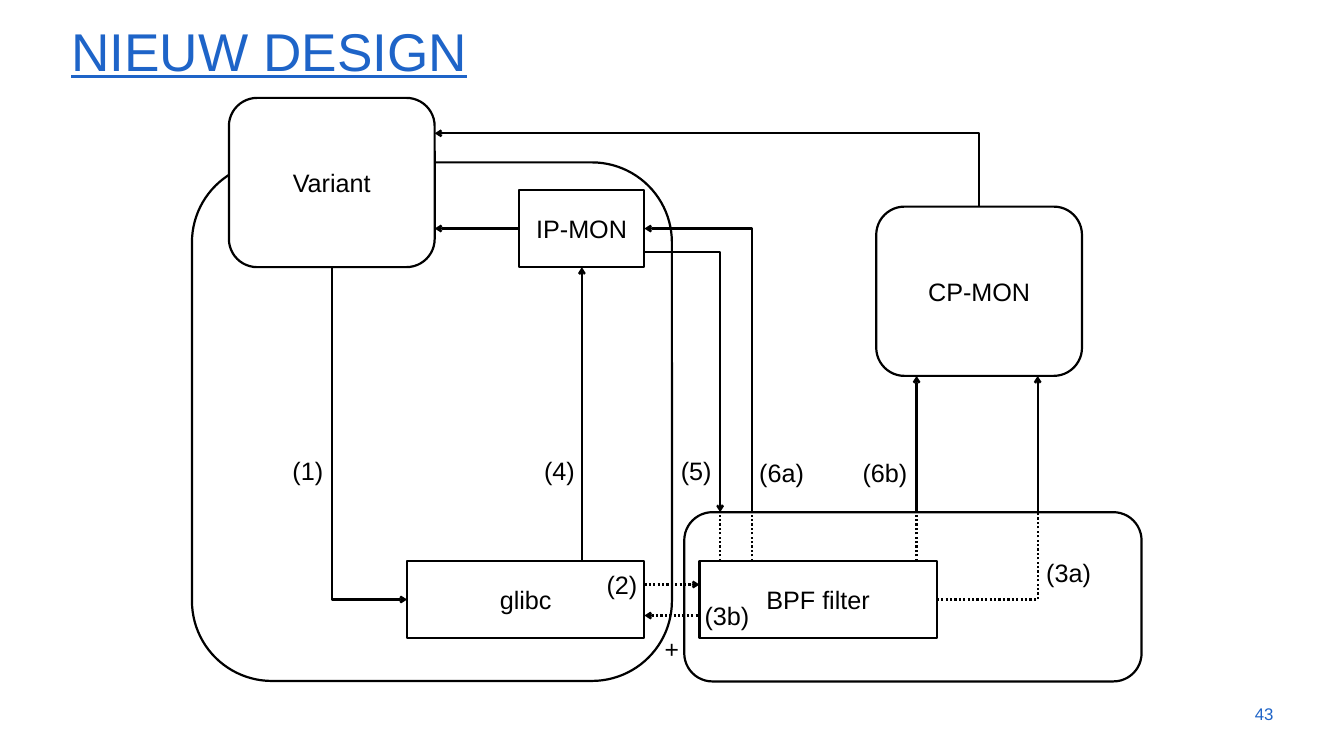
from dataclasses import dataclass

from pptx import Presentation
from pptx.dml.color import RGBColor
from pptx.enum.dml import MSO_LINE
from pptx.enum.shapes import MSO_CONNECTOR, MSO_SHAPE
from pptx.enum.text import MSO_ANCHOR, PP_ALIGN
from pptx.oxml.ns import qn
from pptx.util import Pt
from lxml.etree import SubElement


@dataclass(frozen=True)
class Theme:
    """Colours, font and sizes of the slide."""
    ink: RGBColor = RGBColor(0x00, 0x00, 0x00)
    paper: RGBColor = RGBColor(0xFF, 0xFF, 0xFF)
    accent: RGBColor = RGBColor(0x1E, 0x64, 0xC8)
    font: str = "Arial"
    title_size: float = 54
    body_size: float = 25.6
    plus_size: float = 25
    number_size: float = 17.1
    line_width: float = 2.25


@dataclass(frozen=True)
class Box:
    """A rectangle in points."""
    left: float
    top: float
    width: float
    height: float

    @property
    def right(self):
        """Return the right edge."""
        return self.left + self.width

    @property
    def bottom(self):
        """Return the bottom edge."""
        return self.top + self.height

    @property
    def middle(self):
        """Return the height of the horizontal centre line."""
        return self.top + self.height / 2

    def inside(self, left, top, width, height):
        """Return a box placed relative to this one."""
        return Box(self.left + left, self.top + top, width, height)

    def lengths(self):
        """Return the four lengths for a new shape."""
        return Pt(self.left), Pt(self.top), Pt(self.width), Pt(self.height)


THEME = Theme()


def write(shape, text, size, color=THEME.ink, align=PP_ALIGN.LEFT, anchor=MSO_ANCHOR.TOP):
    """Put one formatted run in a shape and return its paragraph and run."""
    frame = shape.text_frame
    frame.word_wrap = True
    frame.vertical_anchor = anchor
    para = frame.paragraphs[0]
    para.alignment = align
    span = para.add_run()
    span.text = text
    span.font.name = THEME.font
    span.font.size = Pt(size)
    span.font.color.rgb = color
    return para, span


def draw_block(page, box, kind, text=None, filled=True):
    """Draw an outlined block with an optional centred name."""
    shape = page.shapes.add_shape(kind, *box.lengths())
    shape.shadow.inherit = False
    if filled:
        shape.fill.solid()
        shape.fill.fore_color.rgb = THEME.paper
    else:
        shape.fill.background()
    shape.line.color.rgb = THEME.ink
    shape.line.width = Pt(THEME.line_width)
    if text:
        write(shape, text, THEME.body_size, align=PP_ALIGN.CENTER, anchor=MSO_ANCHOR.MIDDLE)


def draw_label(page, left, top, text, width=65.5):
    """Write the number of a step."""
    label = page.shapes.add_textbox(*Box(left, top, width, 38).lengths())
    write(label, text, THEME.body_size)


def draw_line(page, start, end, arrow=None, dotted=False, bent=False):
    """Connect two points, going sideways first when bent."""
    kind = MSO_CONNECTOR.ELBOW if bent else MSO_CONNECTOR.STRAIGHT
    connector = page.shapes.add_connector(kind, *map(Pt, start + end))
    connector.line.color.rgb = THEME.ink
    connector.line.width = Pt(THEME.line_width)
    if dotted:
        connector.line.dash_style = MSO_LINE.ROUND_DOT
    if bent:
        connector.adjustments = None
        guides = connector._element.spPr.find(qn("a:prstGeom")).get_or_add_avLst()
        SubElement(guides, qn("a:gd"), name="adj1", fmla="val 100000")
    if arrow:
        SubElement(connector.line._get_or_add_ln(), qn(f"a:{arrow}End"), type="arrow")
    SubElement(connector._element.spPr, qn("a:effectLst"))


def draw_title(page, box):
    """Write the underlined title."""
    title = page.shapes.add_textbox(*box.lengths())
    para, span = write(title, "NIEUW DESIGN", THEME.title_size, THEME.accent,
                       anchor=MSO_ANCHOR.BOTTOM)
    para.line_spacing = 0.9
    span.font.underline = True


def draw_page_number(page, box):
    """Write the page number."""
    number = page.shapes.add_textbox(*box.lengths())
    write(number, "43", THEME.number_size, THEME.accent, PP_ALIGN.RIGHT, MSO_ANCHOR.MIDDLE)


def draw_kernel(page, box):
    """Draw the kernel with its filter and return the filter box."""
    bpf_filter = box.inside(15.5, 49.5, 241, 78.5)
    draw_block(page, box, MSO_SHAPE.ROUNDED_RECTANGLE)
    draw_block(page, bpf_filter, MSO_SHAPE.RECTANGLE, "BPF filter")
    return bpf_filter


def draw_process(page, box):
    """Draw the process with its parts and return their boxes."""
    variant = box.inside(37.5, -65.5, 209, 172)
    ip_mon = box.inside(332, 28, 127.5, 78.5)
    glibc = box.inside(218.5, 405, 241, 78.5)
    draw_block(page, box, MSO_SHAPE.ROUNDED_RECTANGLE, filled=False)
    draw_block(page, variant, MSO_SHAPE.ROUNDED_RECTANGLE, "Variant")
    draw_block(page, ip_mon, MSO_SHAPE.RECTANGLE, "IP-MON")
    draw_block(page, glibc, MSO_SHAPE.RECTANGLE, "glibc")
    return variant, ip_mon, glibc


def draw_process_steps(page, variant, ip_mon, glibc):
    """Draw the steps that stay inside the process."""
    call_x, return_x = variant.left + 104.5, glibc.left + 177.5
    draw_line(page, (glibc.left, glibc.middle), (call_x, variant.bottom), "head", bent=True)
    draw_line(page, (return_x, glibc.top), (return_x, ip_mon.bottom), "tail")
    draw_line(page, (ip_mon.left, ip_mon.middle), (variant.right, ip_mon.middle), "tail")
    draw_label(page, call_x - 47, 459.5, "(1)", 47)
    draw_label(page, return_x - 45.5, 459, "(4)", 47)


def draw_kernel_steps(page, kernel, bpf_filter, ip_mon, glibc):
    """Draw the steps between the process and the kernel."""
    for y, arrow in ((glibc.top + 24, "tail"), (glibc.top + 55.5, "head")):
        draw_line(page, (glibc.right, y), (bpf_filter.left, y), arrow, dotted=True)
    down_x, up_x = bpf_filter.left + 21, bpf_filter.left + 53.5
    for x, y, arrow in ((down_x, ip_mon.middle + 24, "tail"), (up_x, ip_mon.middle, "head")):
        draw_line(page, (ip_mon.right, y), (x, kernel.top), arrow, bent=True)
        draw_line(page, (x, bpf_filter.top), (x, kernel.top), dotted=True)
    draw_label(page, glibc.right - 45.5, glibc.top + 4.5, "(2)")
    draw_label(page, bpf_filter.left - 2, bpf_filter.top + 36.5, "(3b)")
    draw_label(page, down_x - 47, 459.5, "(5)", 47)
    draw_label(page, up_x, 461, "(6a)")
    plus = page.shapes.add_textbox(*Box(kernel.left - 27, 635, 28, 40).lengths())
    para, span = write(plus, "+", THEME.plus_size)
    para.line_spacing = 1.2


def draw_monitor_steps(page, kernel, bpf_filter, cp_mon, variant):
    """Draw the steps through the cross-process monitor."""
    left_x, right_x = cp_mon.left + 41, cp_mon.left + 164
    for x in (left_x, right_x):
        draw_line(page, (x, kernel.top), (x, cp_mon.bottom), "tail")
    draw_line(page, (left_x, bpf_filter.top), (left_x, kernel.top), dotted=True)
    draw_line(page, (bpf_filter.right, bpf_filter.middle), (right_x, kernel.top),
              dotted=True, bent=True)
    draw_line(page, (variant.right, variant.top + 36), (cp_mon.left + 104.5, cp_mon.top),
              "head", bent=True)
    draw_label(page, left_x - 62, 461, "(6b)")
    draw_label(page, right_x + 1.5, 563, "(3a)")


def draw_design(page, box):
    """Draw the whole diagram within its box."""
    kernel = box.inside(500, 421, 464.5, 172)
    cp_mon = box.inside(695, 110.5, 209, 172)
    bpf_filter = draw_kernel(page, kernel)
    variant, ip_mon, glibc = draw_process(page, box.inside(0, 65.5, 487.5, 527))
    draw_block(page, cp_mon, MSO_SHAPE.ROUNDED_RECTANGLE, "CP-MON")
    draw_process_steps(page, variant, ip_mon, glibc)
    draw_kernel_steps(page, kernel, bpf_filter, ip_mon, glibc)
    draw_monitor_steps(page, kernel, bpf_filter, cp_mon, variant)


def main():
    """Build the deck and save it."""
    deck = Presentation()
    deck.slide_width, deck.slide_height = Pt(1365.12), Pt(768.24)
    page = deck.slides.add_slide(deck.slide_layouts[6])
    draw_title(page, Box(65.5, 20, 1237, 67.5))
    draw_design(page, Box(195, 99.5, 964.5, 593))
    draw_page_number(page, Box(1227.5, 705, 73, 41))
    deck.save("out.pptx")


if __name__ == "__main__":
    main()
